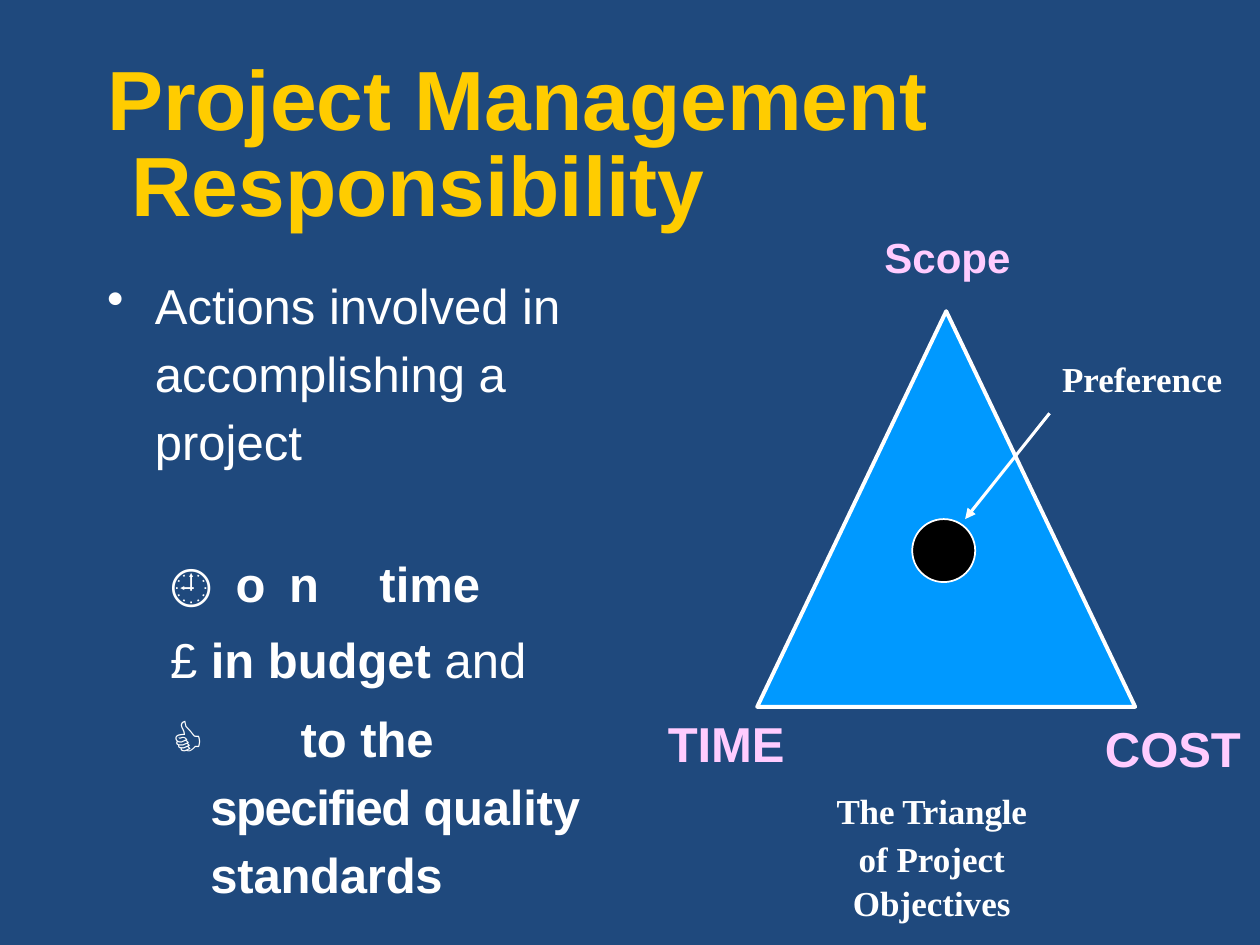
from lxml.etree import SubElement
from pptx import Presentation
from pptx.dml.color import RGBColor
from pptx.enum.shapes import MSO_CONNECTOR, MSO_SHAPE
from pptx.enum.text import MSO_ANCHOR, MSO_AUTO_SIZE, PP_ALIGN
from pptx.oxml.ns import qn
from pptx.util import Inches, Pt

THEME = {
    "navy": "1F497D", "gold": "FFCC00", "pink": "FFCCFF",
    "blue": "0099FF", "white": "FFFFFF", "black": "000000",
    "sans": "Arial", "serif": "Times New Roman",
    "title": 48, "body": 28, "scope": 24, "note": 20,
}

TITLE = [
    {"runs": [("Project Management", True, 0)]},
    {"runs": [("Responsibility", True, 0)], "margin": 0.2},
]
ACTIONS = [{"runs": [("Actions involved in accomplishing a project", False, 0)],
            "margin": 0.39, "indent": -0.38, "bullet": "•", "spacing": 1.15}]
TARGETS = [
    {"runs": [("🕘", False, 13.4), ("on ", True, 13.4), ("time", True, 0)]},
    {"runs": [("£ ", False, 0), ("in budget ", True, 0), ("and", False, 0)],
     "before": 10.1},
    {"runs": [("👍 ", False, 23.6), ("to the ", True, 0),
              ("specified ", True, -0.8), ("quality standards", True, -0.1)],
     "margin": 0.33, "indent": -0.31, "before": 6.7, "spacing": 1.15},
]
CAPTION = [
    {"runs": [("The Triangle", True, -0.1)], "spacing": 1.05},
    {"runs": [("of Project Objectives", True, 0)], "spacing": 1.05, "before": 2.4},
]
LABELS = [
    ("Scope", (7.01, 1.84, 1.1, 0.4), "sans", "scope", "pink"),
    ("TIME", (5.29, 5.66, 0.96, 0.49), "sans", "body", "pink"),
    ("COST", (8.76, 5.7, 1.15, 0.49), "sans", "body", "pink"),
    ("Preference", (8.42, 2.84, 1.4, 0.36), "serif", "note", "white"),
]
TRIANGLE = (6.01, 2.47, 3, 3.14)
DOT = (7.24, 4.12, 0.5, 0.5)
ARROW = (8.33, 3.28, 7.66, 4.12)


def rgb(name):
    return RGBColor.from_string(THEME[name])


def inches(values):
    return [Inches(v) for v in values]


def write(sp, paragraphs, font="sans", size="body", color="white",
          align=PP_ALIGN.LEFT, spacing=1.0, top=0):
    tf = sp.text_frame
    tf.word_wrap = True
    tf.auto_size = MSO_AUTO_SIZE.NONE
    tf.vertical_anchor = MSO_ANCHOR.TOP
    tf.margin_left = tf.margin_right = tf.margin_bottom = 0
    tf.margin_top = Inches(top)
    for i, item in enumerate(paragraphs):
        p = tf.add_paragraph() if i else tf.paragraphs[0]
        pPr = p._p.get_or_add_pPr()
        pPr.set("marL", str(Inches(item.get("margin", 0.01))))
        pPr.set("indent", str(Inches(item.get("indent", 0))))
        if "bullet" in item:
            SubElement(pPr, qn("a:buChar")).set("char", item["bullet"])
        p.alignment = align
        p.line_spacing = item.get("spacing", spacing)
        p.space_before = Pt(item.get("before", 0))
        for text, bold, tracking in item["runs"]:
            r = p.add_run()
            r.text = text
            r.font.name = THEME[font]
            r.font.size = Pt(THEME[size])
            r.font.bold = bold
            r.font.color.rgb = rgb(color)
            if tracking:
                r._r.get_or_add_rPr().set("spc", str(round(tracking * 100)))


def add_text(slide, box, paragraphs, **fmt):
    write(slide.shapes.add_textbox(*inches(box)), paragraphs, **fmt)


def add_figure(slide, kind, box, fill, width):
    sp = slide.shapes.add_shape(kind, *inches(box))
    sp.shadow.inherit = False
    sp.fill.solid()
    sp.fill.fore_color.rgb = rgb(fill)
    sp.line.color.rgb = rgb("white")
    sp.line.width = Pt(width)


def add_arrow(slide, ends):
    line = slide.shapes.add_connector(MSO_CONNECTOR.STRAIGHT, *inches(ends))
    line.line.color.rgb = rgb("white")
    line.line.width = Pt(1.75)
    SubElement(line.line._get_or_add_ln(), qn("a:tailEnd")).set("type", "triangle")
    SubElement(line._element.spPr, qn("a:effectLst"))


def main():
    prs = Presentation()
    prs.slide_width, prs.slide_height = Inches(10), Inches(7.5)
    slide = prs.slides.add_slide(prs.slide_layouts[5])
    slide.background.fill.solid()
    slide.background.fill.fore_color.rgb = rgb("navy")

    title = slide.shapes.title
    title.left, title.top, title.width, title.height = inches((0.84, 0.35, 6.55, 1.51))
    write(title, TITLE, size="title", color="gold", spacing=Pt(49), top=0.14)

    add_text(slide, (0.84, 2.12, 3.7, 1.55), ACTIONS)
    add_text(slide, (1.34, 4.24, 3.56, 2.36), TARGETS, top=0.15)
    add_text(slide, (6.29, 6.2, 2.2, 1.1), CAPTION, font="serif", size="note",
             align=PP_ALIGN.CENTER, top=0.05)

    add_figure(slide, MSO_SHAPE.ISOSCELES_TRIANGLE, TRIANGLE, "blue", 2.25)
    add_figure(slide, MSO_SHAPE.OVAL, DOT, "black", 1)
    add_arrow(slide, ARROW)
    for text, box, font, size, color in LABELS:
        add_text(slide, box, [{"runs": [(text, True, 0)]}],
                 font=font, size=size, color=color)
    prs.save("out.pptx")


if __name__ == "__main__":
    main()
